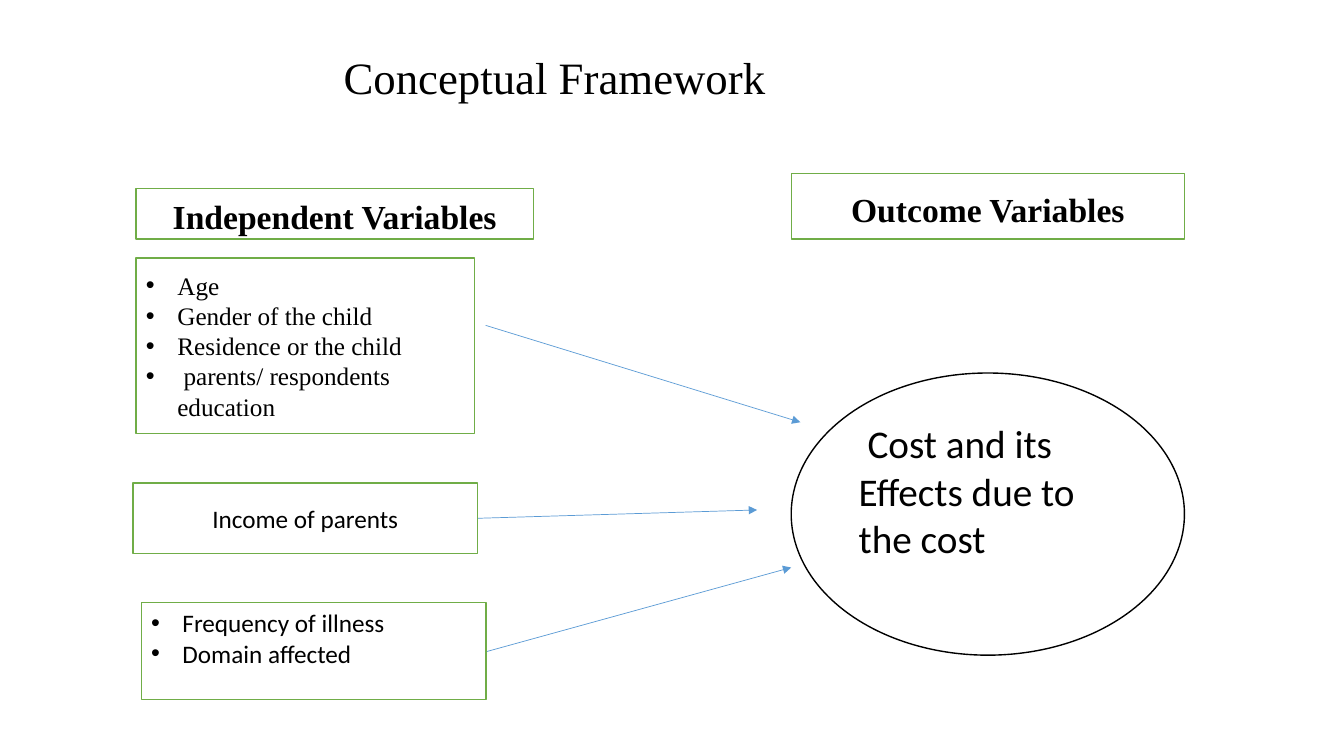
from dataclasses import dataclass

from lxml import etree
from pptx import Presentation
from pptx.dml.color import RGBColor
from pptx.enum.shapes import MSO_CONNECTOR, MSO_SHAPE
from pptx.enum.text import MSO_ANCHOR, PP_ALIGN
from pptx.oxml.ns import qn
from pptx.util import Cm, Pt

RECTANGLE, OVAL = MSO_SHAPE.RECTANGLE, MSO_SHAPE.OVAL
STRAIGHT = MSO_CONNECTOR.STRAIGHT
LEFT, CENTER = PP_ALIGN.LEFT, PP_ALIGN.CENTER
TOP, MIDDLE = MSO_ANCHOR.TOP, MSO_ANCHOR.MIDDLE


@dataclass(frozen=True)
class Theme:
    ink: RGBColor = RGBColor(0x00, 0x00, 0x00)
    paper: RGBColor = RGBColor(0xFF, 0xFF, 0xFF)
    green: RGBColor = RGBColor(0x70, 0xAD, 0x47)
    blue: RGBColor = RGBColor(0x5B, 0x9B, 0xD5)
    serif: str = "Times New Roman"
    sans: str = "Calibri"
    title: int = 32
    outcome: int = 28
    heading: int = 24
    body: int = 18


THEME = Theme()


def add_span(para, text, font, size, bold=False):
    span = para.add_run()
    span.text = text
    span.font.name = font
    span.font.size = Pt(size)
    span.font.bold = bold
    span.font.color.rgb = THEME.ink


def add_bullet(para):
    properties = para._p.get_or_add_pPr()
    properties.set("marL", str(Cm(0.79)))
    properties.set("indent", str(-Cm(0.79)))
    etree.SubElement(properties, qn("a:buFont"), typeface="Arial")
    etree.SubElement(properties, qn("a:buChar"), char="•")


def add_title(page, text, place):
    box = page.shapes.add_textbox(*map(Cm, place))
    box.text_frame.word_wrap = True
    add_span(box.text_frame.paragraphs[0], text, THEME.serif, THEME.title)


def add_panel(page, place, line=THEME.green, kind=RECTANGLE, anchor=MIDDLE):
    """Draw an outlined shape and return its text frame."""
    panel = page.shapes.add_shape(kind, *map(Cm, place))
    panel.shadow.inherit = False
    panel.fill.solid()
    panel.fill.fore_color.rgb = THEME.paper
    panel.line.color.rgb = line
    panel.line.width = Pt(1)
    frame = panel.text_frame
    frame.word_wrap = True
    frame.vertical_anchor = anchor
    return frame


def add_heading(page, text, place):
    para = add_panel(page, place).paragraphs[0]
    para.alignment = CENTER
    para.line_spacing = 1.13
    para.space_after = Pt(13.8)
    add_span(para, text, THEME.serif, THEME.heading, bold=True)


def add_bullet_panel(page, items, place, font, anchor=MIDDLE):
    frame = add_panel(page, place, anchor=anchor)
    for index, item in enumerate(items):
        para = frame.add_paragraph() if index else frame.paragraphs[0]
        para.alignment = LEFT
        add_bullet(para)
        add_span(para, item, font, THEME.body)


def add_arrow(page, start, end):
    arrow = page.shapes.add_connector(STRAIGHT, *map(Cm, start + end))
    arrow.line.color.rgb = THEME.blue
    arrow.line.width = Pt(0.5)
    etree.SubElement(arrow.line._get_or_add_ln(), qn("a:tailEnd"), type="triangle")
    etree.SubElement(arrow._element.spPr, qn("a:effectLst"))


def main():
    deck = Presentation()
    deck.slide_width, deck.slide_height = Cm(33.87), Cm(19.05)
    page = deck.slides.add_slide(deck.slide_layouts[6])

    # Title and column headings
    add_title(page, "Conceptual Framework", (8.41, 1.12, 15.57, 1.63))
    add_heading(page, "Independent Variables", (3.43, 4.75, 10.01, 1.27))
    add_heading(page, "Outcome Variables", (19.94, 4.37, 9.91, 1.65))

    # Outcome, with its text raised above the middle
    frame = add_panel(page, (19.94, 9.4, 9.91, 7.11), THEME.ink, OVAL)
    frame.margin_bottom = Cm(1.32)
    frame.paragraphs[0].alignment = LEFT
    add_span(frame.paragraphs[0], " Cost and its Effects due to the cost",
             THEME.sans, THEME.outcome)

    # Arrows from the variables to the outcome, behind the variable boxes
    for start, end in (
        ((12.24, 8.2), (20.17, 10.64)),
        ((12.04, 13.06), (19.08, 12.85)),
        ((9.83, 17.09), (19.94, 14.3)),
    ):
        add_arrow(page, start, end)

    # Independent variables
    add_bullet_panel(
        page,
        ("Age", "Gender of the child", "Residence or the child",
         " parents/ respondents education"),
        (3.43, 6.5, 8.53, 4.42), THEME.serif)
    income = add_panel(page, (3.35, 12.17, 8.69, 1.78)).paragraphs[0]
    income.alignment = CENTER
    add_span(income, "Income of parents", THEME.sans, THEME.body)
    add_bullet_panel(page, ("Frequency of illness", "Domain affected"),
                     (3.56, 15.19, 8.69, 2.44), THEME.sans, TOP)

    deck.save("out.pptx")


if __name__ == "__main__":
    main()
